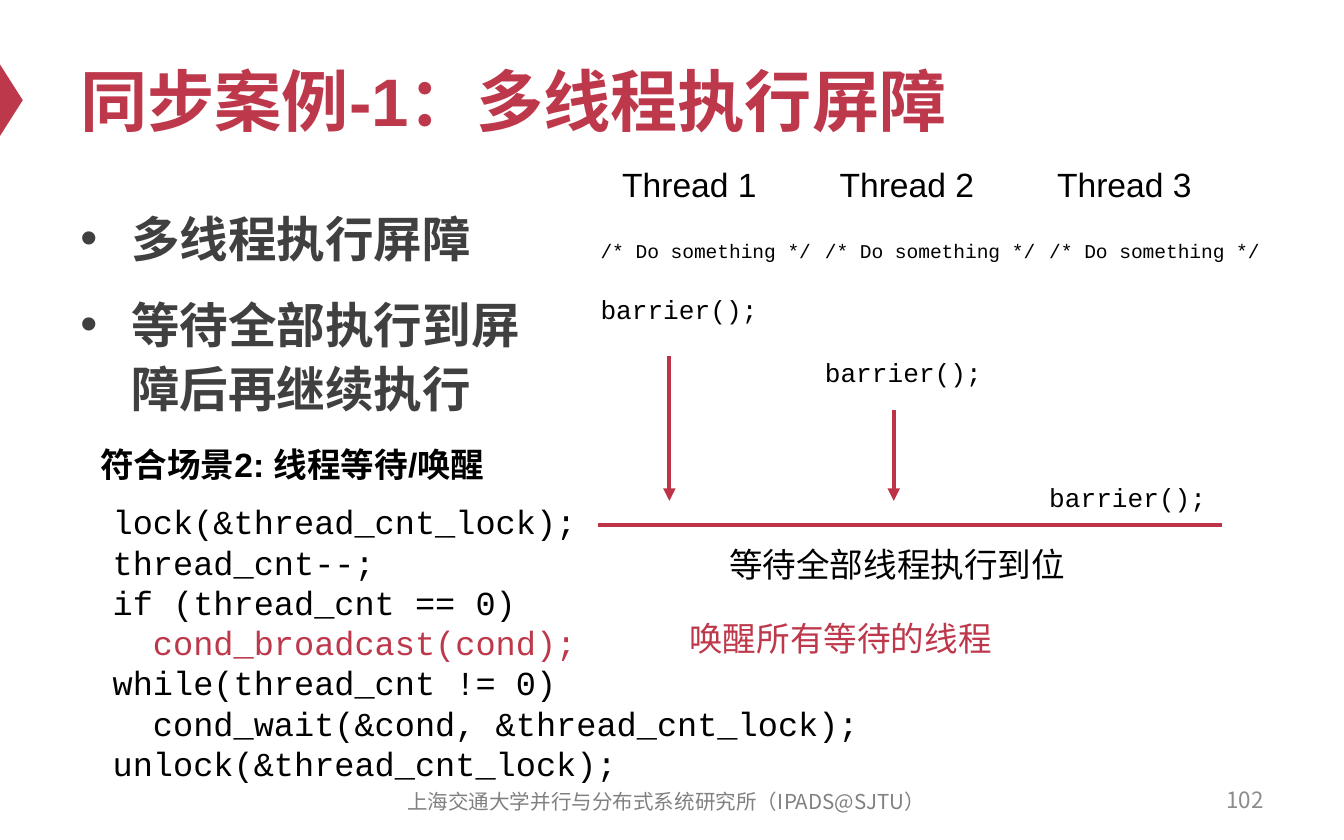
from lxml.etree import SubElement
from pptx import Presentation
from pptx.dml.color import RGBColor
from pptx.enum.shapes import MSO_CONNECTOR, MSO_SHAPE
from pptx.enum.text import MSO_ANCHOR, PP_ALIGN
from pptx.oxml.ns import qn
from pptx.util import Cm, Pt

COLORS = {
    "red": "BE384B",
    "line": "BD3347",
    "black": "000000",
    "body": "404040",
    "number": "8C8C8C",
    "footer": "808080",
}
CJK = "Noto Sans CJK SC"
CODE = "Courier New"


def add_frame(page, box, anchor=MSO_ANCHOR.TOP):
    """Add a wrapping text box and return its text frame."""
    frame = page.shapes.add_textbox(*map(Cm, box)).text_frame
    frame.word_wrap = True
    frame.vertical_anchor = anchor
    return frame


def next_para(frame, number):
    """Return the first paragraph of a frame or a newly added one."""
    return frame.add_paragraph() if number else frame.paragraphs[0]


def write(para, text, size=18, font="Arial", color="black", bold=False, align=PP_ALIGN.LEFT):
    """Write one formatted span at the end of a paragraph."""
    para.alignment = align
    span = para.add_run()
    span.text = text
    span.font.size = Pt(size)
    span.font.bold = bold
    span.font.color.rgb = RGBColor.from_string(COLORS[color])
    span.font.name = font
    SubElement(span.font._element, qn("a:ea"), typeface=CJK)


def add_label(page, box, text, anchor=MSO_ANCHOR.TOP, **style):
    """Add a text box holding a single line."""
    write(add_frame(page, box, anchor).paragraphs[0], text, **style)


def add_line(page, start, end, arrow=False):
    """Draw a straight line, with an arrowhead at its end if asked."""
    line = page.shapes.add_connector(MSO_CONNECTOR.STRAIGHT, *map(Cm, start + end))
    line.line.color.rgb = RGBColor.from_string(COLORS["line"])
    line.line.width = Pt(2.25)
    if arrow:
        SubElement(line.line._get_or_add_ln(), qn("a:tailEnd"), type="triangle")
    SubElement(line._element.spPr, qn("a:effectLst"))


def add_title(page, box):
    """Place the edge marker and the title."""
    left, top, width, height = box
    marker = page.shapes.add_shape(
        MSO_SHAPE.ISOSCELES_TRIANGLE, *map(Cm, (left - 1.73, top + 1.04, 1.35, 0.43)))
    marker.rotation = 90
    marker.shadow.inherit = False
    marker.fill.solid()
    marker.fill.fore_color.rgb = RGBColor.from_string(COLORS["red"])
    marker.line.fill.background()
    add_label(page, box, "同步案例-1：多线程执行屏障", MSO_ANCHOR.MIDDLE,
              size=36, color="red", bold=True)


def add_bullets(page, box, items):
    """Place the bulleted list."""
    frame = add_frame(page, box)
    for number, item in enumerate(items):
        para = next_para(frame, number)
        props = para._element.get_or_add_pPr()
        props.set("marL", str(Cm(0.96)))
        props.set("indent", str(-Cm(0.96)))
        SubElement(props, qn("a:buFont"), typeface="Arial")
        SubElement(props, qn("a:buChar"), char="•")
        para.line_spacing = 1.1
        if number:
            para.space_before = Pt(12)
        write(para, item, size=26, color="body", bold=True)


def add_code(page, box, lines, marked):
    """Place the code listing with one highlighted statement."""
    left, top, width, height = box
    add_label(page, (left - 0.61, top - 1.09, 8.51, 1.02), "符合场景2: 线程等待/唤醒",
              bold=True, align=PP_ALIGN.CENTER)
    frame = add_frame(page, box)
    for number, line in enumerate(lines):
        color = "red" if marked in line else "black"
        write(next_para(frame, number), line, font=CODE, color=color)


def add_threads(page, box, waits):
    """Draw the threads, each reaching the barrier after some lines of waiting."""
    left, top, width, height = box
    barrier = top + 6.96
    arrow_starts = (3.76, 4.78)
    for number, wait in enumerate(waits):
        add_label(page, (left + 0.41 + 4.11 * number, top, 4.39, 1.02), f"Thread {number + 1}")
        column = left + 4.24 * number
        frame = add_frame(page, (column, top + 1.42, 4.55, 1.2 + 0.59 * wait))
        write(frame.paragraphs[0], "/* Do something */", size=10.5, font=CODE)
        para = frame.add_paragraph()
        para.space_before = Pt(16.8 * wait)
        write(para, "barrier();", size=14, font=CODE)
        if number < len(arrow_starts):
            middle = column + 1.55
            add_line(page, (middle, top + arrow_starts[number]), (middle, barrier - 0.46), arrow=True)
    add_line(page, (left + 0.2, barrier), (left + width, barrier))
    for offset, depth, text, color in (
        (1.6, 0.23, "等待全部线程执行到位", "black"),
        (0.53, 1.63, "唤醒所有等待的线程", "red"),
    ):
        add_label(page, (left + offset, barrier + depth, 8.51, 1.02), text,
                  color=color, align=PP_ALIGN.CENTER)


def add_footer(page, box):
    """Place the institute name and the page number."""
    left, top, width, height = box
    add_label(page, (left, top, 11, height), "上海交通大学并行与分布式系统研究所（IPADS@SJTU）",
              MSO_ANCHOR.MIDDLE, size=11, font=CJK, color="footer", align=PP_ALIGN.CENTER)
    add_label(page, (left + width - 5.92, top - 0.03, 5.92, height), "102",
              MSO_ANCHOR.MIDDLE, size=12, font=CJK, color="number", align=PP_ALIGN.RIGHT)


def main():
    """Build the slide and save the deck."""
    deck = Presentation()
    deck.slide_width, deck.slide_height = Cm(25.4), Cm(15.88)
    page = deck.slides.add_slide(deck.slide_layouts[6])
    add_title(page, (1.27, 0.64, 22.86, 2.49))
    add_bullets(page, (1.27, 3.71, 9.45, 4.24),
                ["多线程执行屏障", "等待全部执行到屏障后再继续执行"])
    add_threads(page, (11.1, 2.97, 11.99, 9.61), waits=(1, 3, 7))
    add_code(page, (1.88, 9.35, 15.8, 5.64), [
        "lock(&thread_cnt_lock);",
        "thread_cnt--;",
        "if (thread_cnt == 0)",
        "  cond_broadcast(cond);",
        "while(thread_cnt != 0)",
        "  cond_wait(&cond, &thread_cnt_lock);",
        "unlock(&thread_cnt_lock);",
    ], marked="cond_broadcast")
    add_footer(page, (7.09, 14.73, 17.04, 0.84))
    deck.save("out.pptx")


if __name__ == "__main__":
    main()
